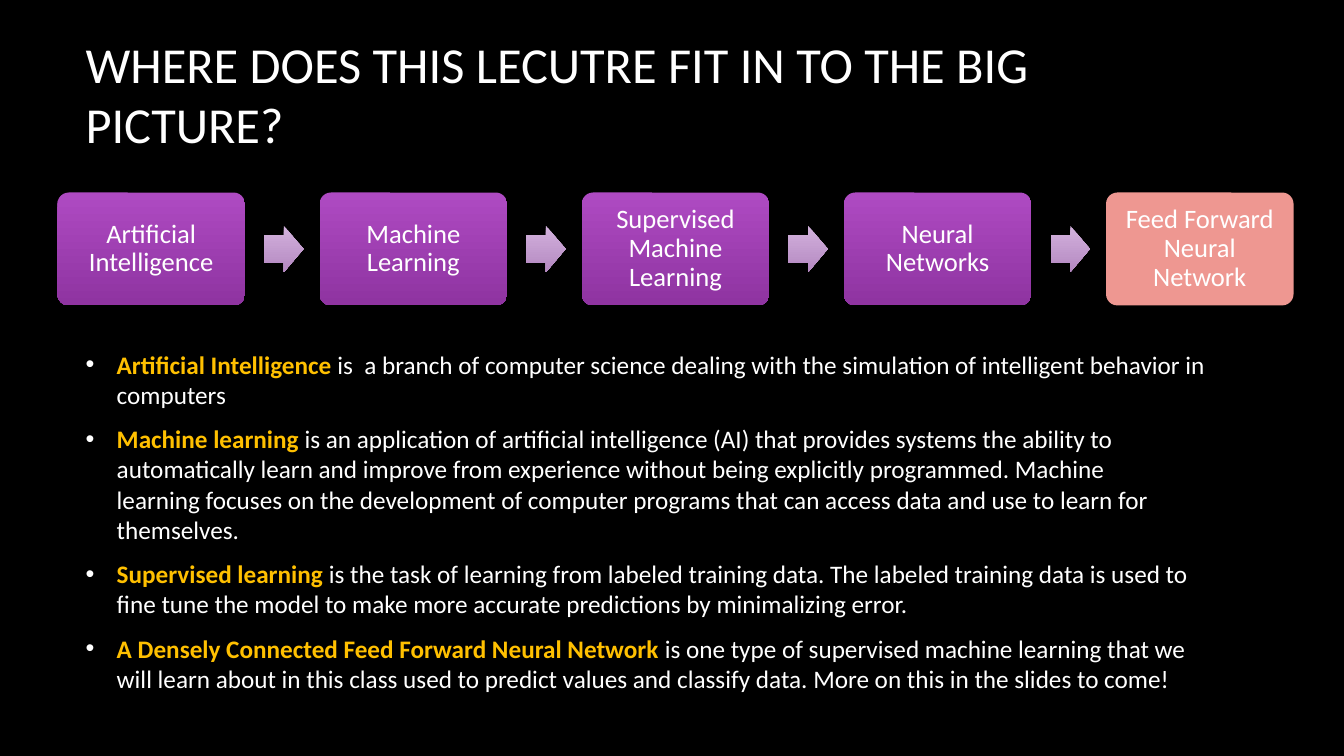
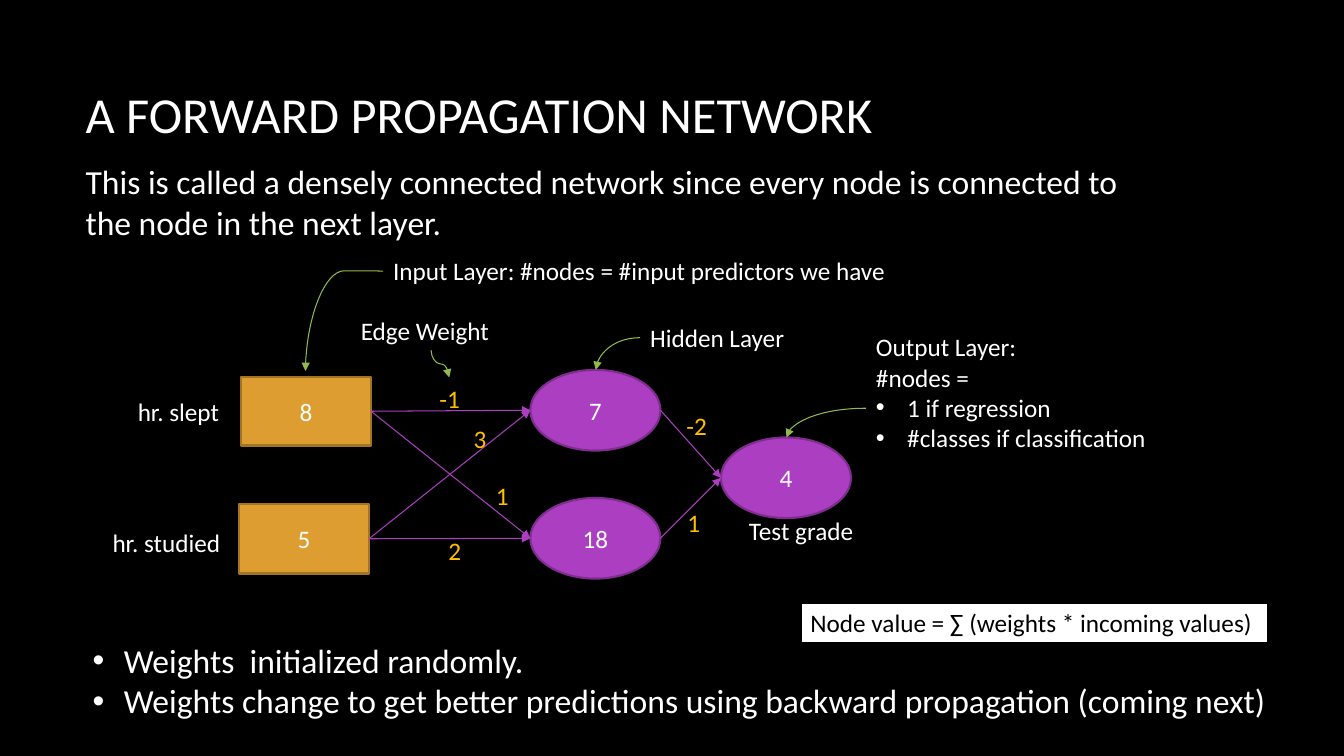
"""Build two slides on neural networks: the big picture and forward propagation."""
from lxml import etree
from pptx import Presentation
from pptx.dml.color import RGBColor
from pptx.enum.shapes import MSO_CONNECTOR, MSO_SHAPE
from pptx.enum.text import MSO_ANCHOR, PP_ALIGN
from pptx.oxml.ns import qn
from pptx.util import Inches, Pt

STRAIGHT, CURVE = MSO_CONNECTOR.STRAIGHT, MSO_CONNECTOR.CURVE
RECTANGLE, ELLIPSE = MSO_SHAPE.RECTANGLE, MSO_SHAPE.OVAL
ROUNDED, ARROW = MSO_SHAPE.ROUNDED_RECTANGLE, MSO_SHAPE.RIGHT_ARROW
MIDDLE, TOP = MSO_ANCHOR.MIDDLE, MSO_ANCHOR.TOP
CENTER, LEFT = PP_ALIGN.CENTER, PP_ALIGN.LEFT
HARD_SPACE = chr(160)

HEX = {
    "black": "000000", "white": "FFFFFF", "gold": "FFC000",
    "box top": "AE4AC2", "box bottom": "8F34A1", "salmon": "EE9791",
    "arrow top": "D3B2DD", "arrow bottom": "B488C1",
    "orange": "DD9D31", "orange edge": "A37424",
    "purple": "AC3EC1", "purple edge": "7F2E8F", "green": "90BA4C",
}
COLORS = {name: RGBColor.from_string(value) for name, value in HEX.items()}


def write(box, paragraphs, size=18, color="white", align=LEFT, anchor=TOP,
          wrap=True, bullets_from=None, **spacing):
    frame = box.text_frame
    frame.word_wrap, frame.vertical_anchor = wrap, anchor
    for index, content in enumerate(paragraphs):
        para = frame.paragraphs[0] if index == 0 else frame.add_paragraph()
        if bullets_from is not None and index >= bullets_from:
            properties = para._p.get_or_add_pPr()
            properties.set("marL", str(Inches(0.31)))
            properties.set("indent", str(-Inches(0.31)))
            bullet_color = etree.SubElement(properties, qn("a:buClr"))
            etree.SubElement(bullet_color, qn("a:srgbClr")).set("val", HEX[color])
            etree.SubElement(properties, qn("a:buFont")).set("typeface", "Arial")
            etree.SubElement(properties, qn("a:buChar")).set("char", "•")
        para.alignment = align
        for name, value in spacing.items():
            setattr(para, name, value)
        spans = [(content, color, False)]
        if isinstance(content, tuple):
            spans = [(content[0], "gold", True), (content[1], color, False)]
        for text, span_color, bold in spans:
            span = para.add_run()
            span.text = text
            for name, value in {"name": "Calibri", "size": Pt(size), "bold": bold}.items():
                setattr(span.font, name, value)
            span.font.color.rgb = COLORS[span_color]


def add_line(page, kind, start, end, color):
    line = page.shapes.add_connector(kind, *map(Inches, start + end))
    line.line.color.rgb = COLORS[color]
    line.line.width = Pt(0.75)
    properties = line._element.spPr
    etree.SubElement(properties.find(qn("a:ln")), qn("a:tailEnd")).set("type", "triangle")
    etree.SubElement(properties, qn("a:effectLst"))
    return line


deck = Presentation()
deck.slide_width, deck.slide_height = Inches(13.33), Inches(7.5)
pages = []
for title, place in [
    ("WHERE DOES THIS LECUTRE FIT IN TO THE BIG PICTURE?", (0.75, 0.13, 11.61, 1.59)),
    ("A FORWARD PROPAGATION NETWORK", (0.75, 0.33, 11.08, 1.59)),
]:
    page = deck.slides.add_slide(deck.slide_layouts[6])
    page.background.fill.solid()
    page.background.fill.fore_color.rgb = COLORS["black"]
    write(page.shapes.add_textbox(*map(Inches, place)), [title], size=36, anchor=MIDDLE)
    pages.append(page)
overview, network = pages

steps = ["Artificial Intelligence", "Machine Learning", "Supervised Machine Learning",
         "Neural Networks", "Feed Forward Neural Network"]
flow = []
for index, step in enumerate(steps):
    left = 0.57 + 2.6 * index
    box = overview.shapes.add_shape(
        ROUNDED, Inches(left), Inches(1.91), Inches(1.86), Inches(1.12))
    box.adjustments[0] = 0.1
    for side in ("left", "right", "top", "bottom"):
        setattr(box.text_frame, f"margin_{side}", Inches(0.11))
    write(box, [step], size=19, align=CENTER, anchor=MIDDLE, line_spacing=0.9)
    flow.append((box, "box"))
    if index < len(steps) - 1:
        arrow = overview.shapes.add_shape(
            ARROW, Inches(left + 2.05), Inches(2.24), Inches(0.39), Inches(0.46))
        arrow.adjustments[0] = 0.6
        flow.append((arrow, "arrow"))
for shape, kind in flow:
    shape.shadow.inherit = False
    shape.line.fill.background()
    shape.fill.gradient()
    shape.fill.gradient_angle = 270
    for stop, end in zip(shape.fill.gradient_stops, ("top", "bottom")):
        stop.color.rgb = COLORS[f"{kind} {end}"]
last_box = flow[-1][0]
last_box.fill.solid()
last_box.fill.fore_color.rgb = COLORS["salmon"]

definitions = [
    ("Artificial Intelligence ",
     f"is {HARD_SPACE}a branch of computer science dealing with the simulation of "
     "intelligent behavior in computers"),
    ("Machine learning",
     f"{HARD_SPACE}is an application of artificial intelligence (AI) that provides "
     "systems the ability to automatically learn and improve from experience without "
     f"being explicitly programmed.{HARD_SPACE}Machine learning{HARD_SPACE}focuses on "
     "the development of computer programs that can access data and use to learn for "
     "themselves."),
    ("Supervised learning",
     f"{HARD_SPACE}is the{HARD_SPACE}task of learning from labeled training data. The "
     "labeled training data is used to fine tune the model to make more accurate "
     "predictions by minimalizing error."),
    ("A Densely Connected Feed Forward Neural Network ",
     "is one type of supervised machine learning that we will learn about in this class "
     "used to predict values and classify data. More on this in the slides to come!"),
]
body = overview.shapes.add_textbox(Inches(0.75), Inches(3.09), Inches(11.33), Inches(4.16))
write(body, definitions, anchor=MIDDLE, bullets_from=0, space_after=Pt(10))

nodes = {}
for name, value, kind, left, top, height, color in [
    ("slept", "8", RECTANGLE, 2.39, 3.74, 0.68, "orange"),
    ("studied", "5", RECTANGLE, 2.37, 5, 0.69, "orange"),
    ("hidden top", "7", ELLIPSE, 5.26, 3.67, 0.8, "purple"),
    ("hidden bottom", "18", ELLIPSE, 5.26, 4.94, 0.8, "purple"),
    ("output", "4", ELLIPSE, 7.15, 4.34, 0.8, "purple"),
]:
    node = network.shapes.add_shape(
        kind, Inches(left), Inches(top), Inches(1.29), Inches(height))
    node.shadow.inherit = False
    node.fill.solid()
    node.fill.fore_color.rgb = COLORS[color]
    node.line.color.rgb = COLORS[f"{color} edge"]
    node.line.width = Pt(1.5)
    write(node, [value], align=CENTER, anchor=MIDDLE)
    nodes[name] = (node, left, top + height / 2)

for sources, targets in [
    (("slept", "studied"), ("hidden top", "hidden bottom")),
    (("hidden top", "hidden bottom"), ("output",)),
]:
    for source in sources:
        for target in targets:
            node, left, middle = nodes[source]
            edge = add_line(network, STRAIGHT, (left + 1.29, middle),
                            nodes[target][1:], "purple")
            if source in ("slept", "studied"):
                edge.begin_connect(node, 3)

for start, end, preset, turn, bend in [
    ((6.35, 3.35), (5.91, 3.67), "curvedConnector2", 0, None),
    ((8.59, 4.05), (7.8, 4.34), "curvedConnector2", 0, None),
    ((2.92, 2.8), (3.91, 3.57), "curvedConnector3", 90, -400),
    ((4.5, 3.52), (4.23, 3.7), "curvedConnector3", 270, 50000),
]:
    pointer = add_line(network, CURVE, start, end, "green")
    properties = pointer._element.spPr
    geometry = properties.find(qn("a:prstGeom"))
    geometry.set("prst", preset)
    if turn:
        properties.find(qn("a:xfrm")).set("rot", str(turn * 60000))
        guide = etree.SubElement(geometry.find(qn("a:avLst")), qn("a:gd"))
        guide.set("name", "adj1")
        guide.set("fmla", f"val {bend}")

centered = {"align": CENTER, "wrap": False}
weight = {"color": "gold"}
for paragraphs, place, style in [
    (["This is called a densely connected network since every node is connected to "
      "the node in the next layer."], (0.75, 1.55, 10.61, 0.91), {"size": 24}),
    (["Input Layer: #nodes = #input predictors we have"], (3.8, 2.48, 6.25, 0.4), {}),
    (["Edge Weight"], (3.48, 3.08, 1.63, 0.4), {}),
    (["Hidden Layer"], (6.35, 3.15, 1.63, 0.4), {}),
    (["Output Layer:", "#nodes =", "1 if regression", "#classes if classification"],
     (8.59, 3.24, 3.43, 1.62), {"bullets_from": 2}),
    (["hr. slept"], (1.26, 3.88, 1.02, 0.4), centered),
    (["hr. studied"], (1.01, 5.18, 1.28, 0.4), centered),
    (["Test grade"], (7.32, 5.06, 1.25, 0.4), centered),
    (["-1"], (4.26, 3.75, 0.41, 0.4), {"color": "gold", "wrap": False}),
    (["3"], (4.6, 4.15, 0.84, 0.4), weight),
    (["1"], (4.82, 4.72, 0.84, 0.4), weight),
    (["2"], (4.35, 5.26, 0.84, 0.4), weight),
    (["-2"], (6.71, 4.02, 0.84, 0.4), weight),
    (["1"], (6.72, 4.98, 0.84, 0.4), weight),
    (["Weights  initialized randomly.",
      "Weights change to get better predictions using backward propagation (coming next)"],
     (0.82, 6.3, 12.37, 0.91), {"size": 24, "bullets_from": 0}),
]:
    write(network.shapes.add_textbox(*map(Inches, place)), paragraphs, **style)

formula = network.shapes.add_shape(
    RECTANGLE, Inches(7.94), Inches(5.98), Inches(4.64), Inches(0.4))
formula.shadow.inherit = False
formula.fill.solid()
formula.fill.fore_color.rgb = COLORS["white"]
formula.line.color.rgb = COLORS["black"]
formula.line.width = Pt(1.5)
write(formula, ["Node value = ∑ (weights * incoming values)"], color="black")

deck.save("out.pptx")
